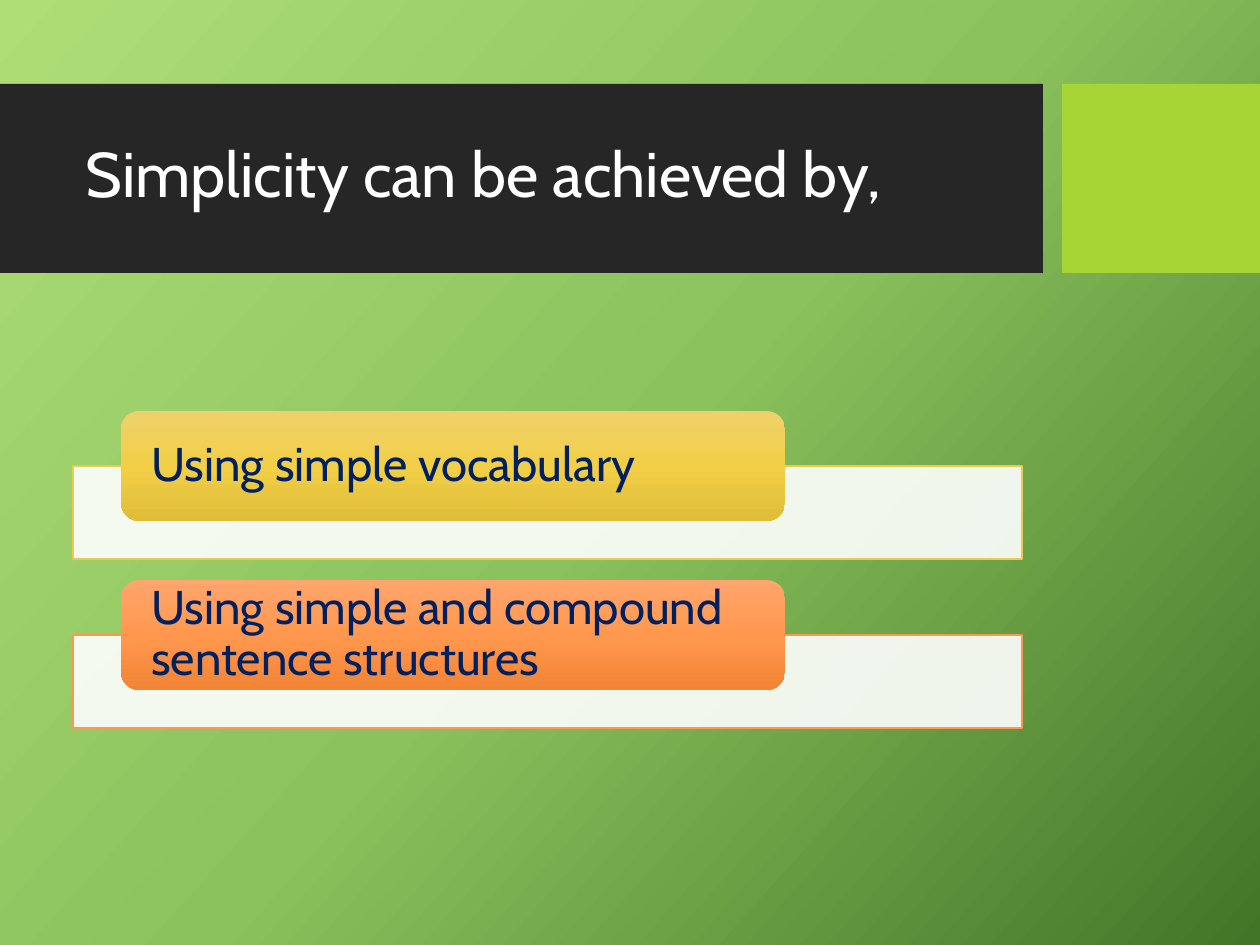
from copy import deepcopy

from lxml.etree import SubElement
from pptx import Presentation
from pptx.dml.color import RGBColor
from pptx.enum.shapes import MSO_SHAPE
from pptx.enum.text import MSO_ANCHOR, PP_ALIGN
from pptx.oxml.ns import qn
from pptx.util import Pt

TITLE = "Simplicity can be achieved by,"
ITEMS = [
    {"text": "Using simple vocabulary", "line": "EACA4F",
     "gradient": ["EED16B", "F2CF47", "E0BD37"]},
    {"text": "Using simple and compound sentence structures", "line": "FD9850",
     "gradient": ["FFA56D", "FF984E", "F28435"]},
]
THEME = {
    "font": "Cabin", "title_size": 36, "item_size": 27,
    "title": "FFFFFF", "item": "002060", "panel": "FFFFFF",
    "band": "262626", "accent": "A7D535",
    "background": ["AFDE77", "8BC25D", "437528"],
}
SLIDE_SIZE = (1260, 945)
BAND = (0, 84, 1043, 189)
ACCENT = (1062, 84, 198, 189)
TITLE_BOX = (73, 103, 950, 149)
PANEL = (73, 466, 949, 93)
TAB = (121, 411, 664, 110)
ROW_PITCH = 169
TAB_INSET = 25


def px(value):
    return round(value * 914400 / 126)


def color(name):
    return RGBColor.from_string(name)


def apply_gradient(fill, element, colors, angle):
    """Fill with evenly spaced stops; the angle runs clockwise."""
    fill.gradient()
    fill.gradient_angle = 360 - angle
    stop_list = element.find(".//" + qn("a:gsLst"))
    while len(stop_list) < len(colors):
        stop_list.append(deepcopy(stop_list[0]))
    for index, (stop, name) in enumerate(zip(fill.gradient_stops, colors)):
        stop.position = index / (len(colors) - 1)
        stop.color.rgb = color(name)


def add_box(slide, kind, box, fill=None, line=None, opacity=None):
    shape = slide.shapes.add_shape(kind, *map(px, box))
    shape.shadow.inherit = False
    if fill:
        shape.fill.solid()
        shape.fill.fore_color.rgb = color(fill)
    if opacity:
        fill_color = shape.element.spPr.find(".//" + qn("a:srgbClr"))
        SubElement(fill_color, qn("a:alpha"), val=str(opacity * 1000))
    if line:
        shape.line.color.rgb = color(line)
        shape.line.width = Pt(0.75)
    else:
        shape.line.fill.background()
    return shape


def write_text(shape, text, *, size, text_color, inset=None):
    frame = shape.text_frame
    frame.word_wrap = True
    frame.vertical_anchor = MSO_ANCHOR.MIDDLE
    if inset is not None:
        frame.margin_left = frame.margin_right = px(inset)
        frame.margin_top = frame.margin_bottom = 0
    frame.text = text
    paragraph = frame.paragraphs[0]
    paragraph.alignment = PP_ALIGN.LEFT
    paragraph.line_spacing = 0.9
    font = paragraph.runs[0].font
    font.name = THEME["font"]
    font.size = Pt(size)
    font.color.rgb = color(text_color)


def add_item(slide, item, offset):
    panel_left, panel_top, *panel_size = PANEL
    tab_left, tab_top, *tab_size = TAB
    add_box(slide, MSO_SHAPE.RECTANGLE, (panel_left, panel_top + offset, *panel_size),
            THEME["panel"], item["line"], opacity=90)
    tab = add_box(slide, MSO_SHAPE.ROUNDED_RECTANGLE,
                  (tab_left, tab_top + offset, *tab_size))
    apply_gradient(tab.fill, tab.element, item["gradient"], 90)
    write_text(tab, item["text"], size=THEME["item_size"],
               text_color=THEME["item"], inset=TAB_INSET)


def main():
    presentation = Presentation()
    presentation.slide_width, presentation.slide_height = map(px, SLIDE_SIZE)
    slide = presentation.slides.add_slide(presentation.slide_layouts[5])
    apply_gradient(slide.background.fill, slide.element, THEME["background"], 42)

    add_box(slide, MSO_SHAPE.RECTANGLE, BAND, THEME["band"])
    accent = add_box(slide, MSO_SHAPE.RECTANGLE, ACCENT, THEME["accent"])

    title = slide.shapes.title
    title.left, title.top, title.width, title.height = map(px, TITLE_BOX)
    write_text(title, TITLE, size=THEME["title_size"], text_color=THEME["title"])
    accent.element.addnext(title.element)  # bring the title in front of its band

    for row, item in enumerate(ITEMS):
        add_item(slide, item, row * ROW_PITCH)
    presentation.save("out.pptx")


if __name__ == "__main__":
    main()
